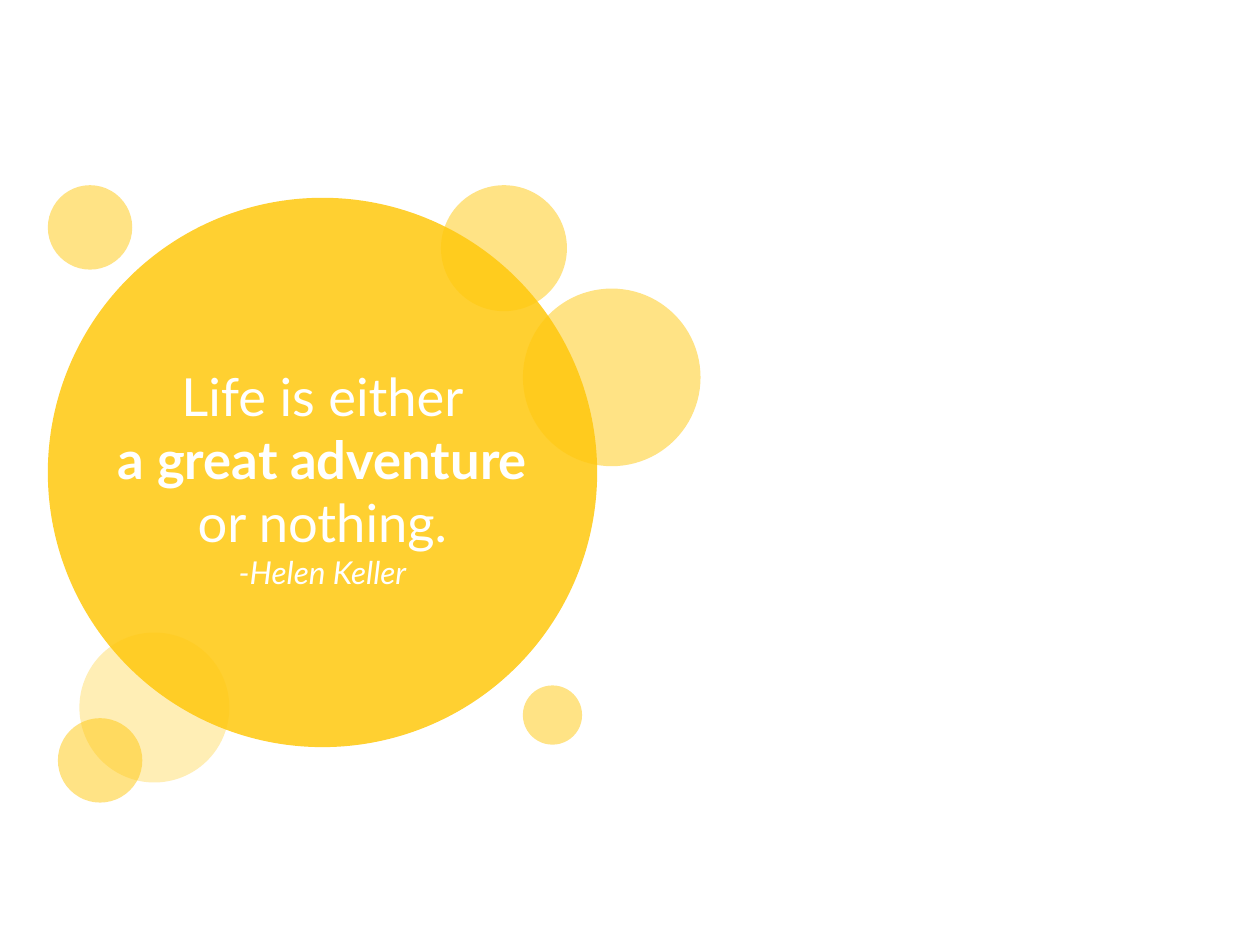
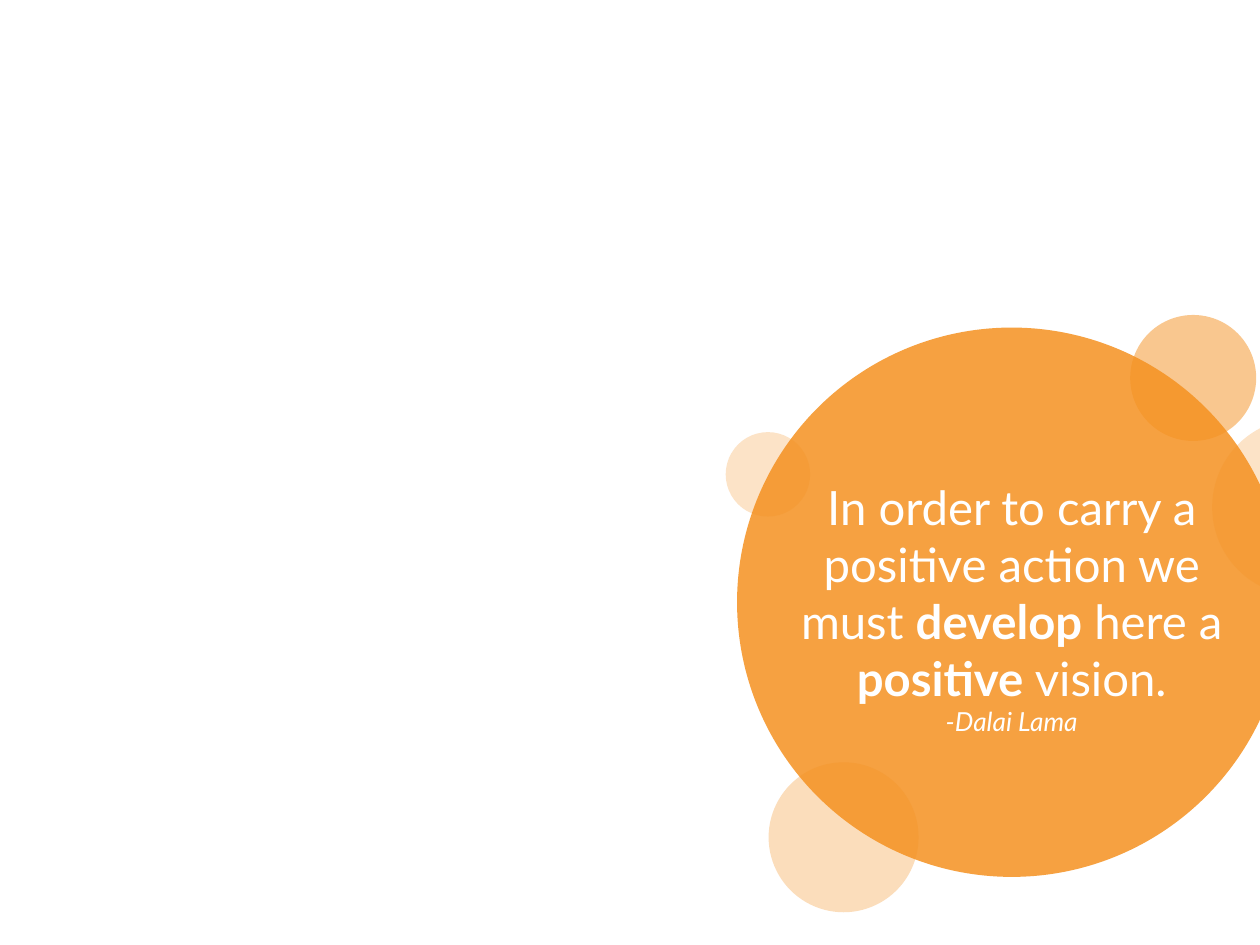
from pptx import Presentation
from pptx.dml.color import RGBColor
from pptx.enum.shapes import MSO_SHAPE as Shape
from pptx.enum.text import MSO_ANCHOR as Anchor, PP_ALIGN as Align
from pptx.oxml.ns import qn
from pptx.util import Inches, Pt
from lxml.etree import SubElement

FONT = "Lato"
WHITE, YELLOW, ORANGE = "FFFFFF", "FFC80D", "F59120"
COLUMNS = 100  # square grid cells across the slide
CELL = Inches(10) / COLUMNS

# Bubbles and quote sit at these offsets from the main bubble's corner.
MAIN_SIZE, MAIN_OPACITY = 43.6, 85
SHOULDER = (31.2, -1, 10)
FOOT = (2.5, 34.5, 11.9)
SIDE = (37.7, 7.2, 14.1)
SMALL, TINY = 6.7, 4.7
QUOTE_LEFT, QUOTE_WIDTH = 3, 37.6


def cells(n):
    return round(n * CELL)


def rgb(color):
    return RGBColor.from_string(color)


def add_bubble(s, left, top, size, color, opacity):
    sp = s.shapes.add_shape(Shape.OVAL, *map(cells, (left, top, size, size)))
    sp.shadow.inherit = False
    sp.line.fill.background()
    sp.fill.solid()
    sp.fill.fore_color.rgb = rgb(color)
    srgb = sp.fill._xPr.find(qn("a:solidFill")).find(qn("a:srgbClr"))
    SubElement(srgb, qn("a:alpha")).set("val", str(opacity * 1000))


def add_cluster(s, left, top, color, side_opacity, small_bubbles):
    """Draw the main bubble and those around it; small ones are (x, y, size, opacity)."""
    bubbles = [
        (*SHOULDER, 50),
        (0, 0, MAIN_SIZE, MAIN_OPACITY),
        (*FOOT, 30),
        (*SIDE, side_opacity),
        *small_bubbles,
    ]
    for x, y, size, opacity in bubbles:
        add_bubble(s, left + x, top + y, size, color, opacity)


def format_paragraph(p, size, italic=False):
    p.alignment = Align.CENTER
    p.font.name = FONT
    p.font.size = Pt(size)
    p.font.italic = italic
    p.font.color.rgb = rgb(WHITE)


def add_quote(s, left, top, height, size, lines, author, author_size):
    """Write a quote whose lines are lists of (text, bold) runs, then its author."""
    box = s.shapes.add_textbox(*map(cells, (left, top, QUOTE_WIDTH, height)))
    tf = box.text_frame
    tf.word_wrap = True
    tf.vertical_anchor = Anchor.TOP
    for i, line in enumerate(lines):
        p = tf.paragraphs[0] if i == 0 else tf.add_paragraph()
        format_paragraph(p, size)
        for text, bold in line:
            r = p.add_run()
            r.text = text
            r.font.bold = bold
    p = tf.add_paragraph()
    p.text = author
    format_paragraph(p, author_size, italic=True)


def add_adventure_slide(prs):
    s = prs.slides.add_slide(prs.slide_layouts[6])
    left, top = 3.8, 15.7
    add_cluster(s, left, top, YELLOW, 50, [
        (0, -1, SMALL, 50),
        (0.8, 41.3, SMALL, 50),
        (37.7, 38.7, TINY, 50),
    ])
    add_quote(s, left + QUOTE_LEFT, top + 12.7, 24.2, 30, [
        [("Life is either", False)],
        [("a great adventure", True)],
        [("or nothing.", False)],
    ], "-Helen Keller", 18)


def add_vision_slide(prs):
    s = prs.slides.add_slide(prs.slide_layouts[6])
    left, top = 58.5, 26
    add_cluster(s, left, top, ORANGE, 25, [(-0.9, 8.3, SMALL, 25)])
    add_quote(s, left + QUOTE_LEFT, top + 11.5, 21.7, 27, [[
        ("In order to carry a positive action we must ", False),
        ("develop", True),
        (" here a ", False),
        ("positive ", True),
        ("vision.", False),
    ]], "-Dalai Lama", 15)


def main():
    prs = Presentation()
    prs.slide_width, prs.slide_height = Inches(10), Inches(7.5)
    add_adventure_slide(prs)
    add_vision_slide(prs)
    prs.save("out.pptx")


if __name__ == "__main__":
    main()
